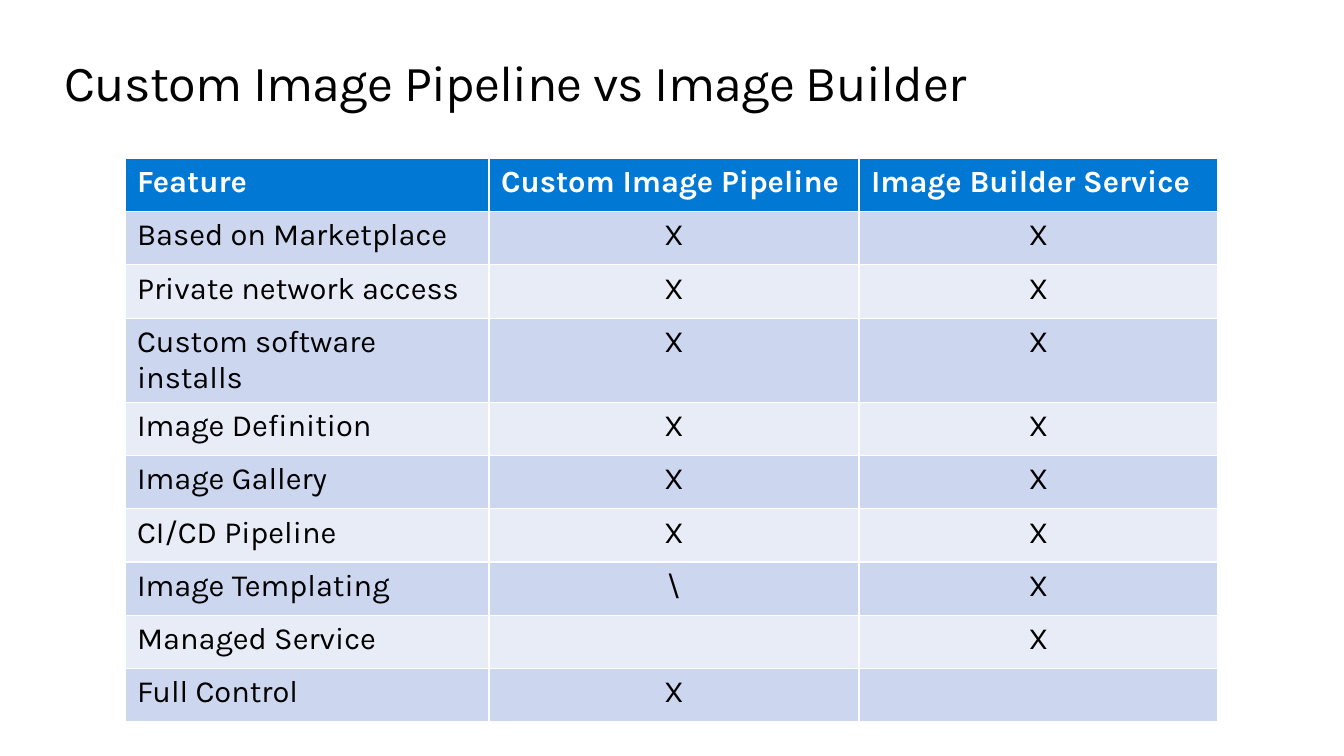
import pptx
import pptx.dml.color
import pptx.enum.text
import pptx.util

Inches = pptx.util.Inches
Pt = pptx.util.Pt
RGBColor = pptx.dml.color.RGBColor
ALIGN = pptx.enum.text.PP_ALIGN
ANCHOR = pptx.enum.text.MSO_ANCHOR

BLACK = RGBColor(0x00, 0x00, 0x00)
WHITE = RGBColor(0xFF, 0xFF, 0xFF)
HEADER_BLUE = RGBColor(0x00, 0x78, 0xD4)
BAND_DARK = RGBColor(0xCC, 0xD6, 0xEF)
BAND_LIGHT = RGBColor(0xE7, 0xEC, 0xF7)
FONT = "Karla"

HEADINGS = ("Feature", "Custom Image Pipeline", "Image Builder Service")
FEATURES = (
    ("Based on Marketplace", "X", "X"),
    ("Private network access", "X", "X"),
    ("Custom software installs", "X", "X"),
    ("Image Definition", "X", "X"),
    ("Image Gallery", "X", "X"),
    ("CI/CD Pipeline", "X", "X"),
    ("Image Templating", "\\", "X"),
    ("Managed Service", "", "X"),
    ("Full Control", "X", ""),
)
COLUMN_WIDTHS = (3.61, 3.67, 3.56)


def style_paragraph(paragraph, size, color, bold=False, align=ALIGN.LEFT):
    paragraph.alignment = align
    font = paragraph.font
    font.name, font.size, font.bold = FONT, Pt(size), bold
    font.color.rgb = color


def add_title(slide, text, left, top, width, height):
    title = slide.shapes.title
    title.left, title.top = Inches(left), Inches(top)
    title.width, title.height = Inches(width), Inches(height)
    frame = title.text_frame
    frame.margin_left = frame.margin_right = 0
    frame.margin_top = frame.margin_bottom = 0
    frame.auto_size = pptx.enum.text.MSO_AUTO_SIZE.NONE
    frame.vertical_anchor = ANCHOR.MIDDLE
    frame.text = text
    paragraph = frame.paragraphs[0]
    style_paragraph(paragraph, 36, BLACK)
    # Slightly tightened letter spacing, in hundredths of a point
    paragraph.runs[0].font._element.set("spc", "-50")


def fill_cell(cell, text, fill, color, bold, align):
    cell.fill.solid()
    cell.fill.fore_color.rgb = fill
    cell.margin_left = cell.margin_right = Inches(0.12)
    cell.margin_top = cell.margin_bottom = Inches(0.06)
    cell.text = text
    style_paragraph(cell.text_frame.paragraphs[0], 22, color, bold, align)


def add_comparison(slide, left, top, width, height):
    rows = (HEADINGS,) + FEATURES
    table = slide.shapes.add_table(
        len(rows), len(HEADINGS),
        Inches(left), Inches(top), Inches(width), Inches(height)).table
    for column, column_width in zip(table.columns, COLUMN_WIDTHS):
        column.width = Inches(column_width)

    # Header row, then bands; the marks are centred
    for row_index, texts in enumerate(rows):
        is_header = row_index == 0
        band = BAND_DARK if row_index % 2 else BAND_LIGHT
        for column_index, text in enumerate(texts):
            is_mark = column_index > 0 and not is_header
            fill_cell(table.cell(row_index, column_index), text,
                      HEADER_BLUE if is_header else band,
                      WHITE if is_header else BLACK, is_header,
                      ALIGN.CENTER if is_mark else ALIGN.LEFT)


def main():
    presentation = pptx.Presentation()
    presentation.slide_width = Inches(13.33)
    presentation.slide_height = Inches(7.5)
    title_only = presentation.slide_layouts[5]
    slide = presentation.slides.add_slide(title_only)
    add_title(slide, "Custom Image Pipeline vs Image Builder",
              0.64, 0.5, 12.05, 0.61)
    add_comparison(slide, 1.24, 1.57, sum(COLUMN_WIDTHS), 5.29)
    presentation.save("out.pptx")


if __name__ == "__main__":
    main()
